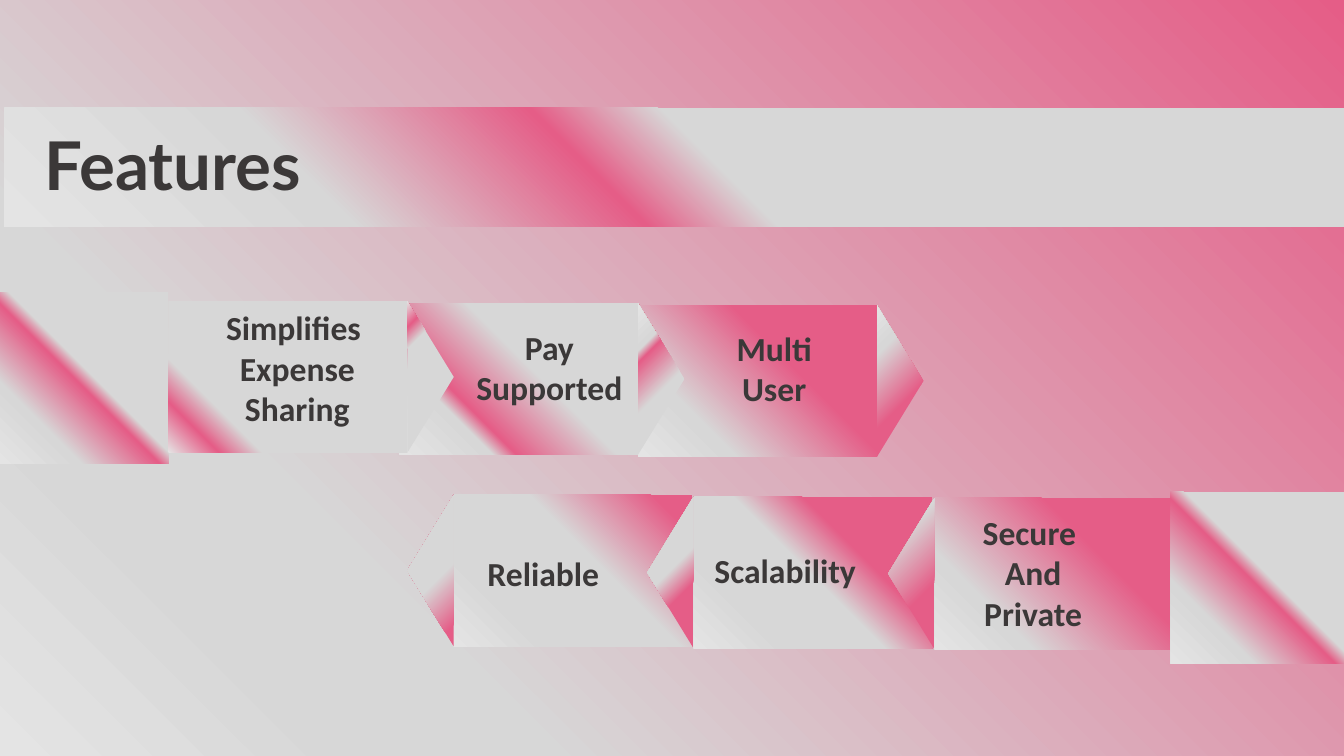
import pptx
import pptx.util
import pptx.dml.color
import pptx.enum.shapes
import pptx.enum.text
import pptx.oxml.ns
import lxml.etree
from dataclasses import dataclass

SHAPE = pptx.enum.shapes.MSO_SHAPE
ALIGN = pptx.enum.text.PP_ALIGN
ANCHOR = pptx.enum.text.MSO_ANCHOR
WIDE, HIGH = pptx.util.Inches(13.33), pptx.util.Inches(7.5)


@dataclass(frozen=True)
class Theme:
    pink: str = "E55D87"
    gray: str = "D7D7D7"
    pale: str = "E4E4E4"
    ink: str = "3B3838"
    head: tuple = ("Lato", 48)
    body: tuple = ("Calibri", 24)
    slant: int = 135  # clockwise degrees, top right to bottom left
    turn: int = 225   # slant on the arrow tips


LOOK = Theme()

# Sizes in percent of the slide
TAG_W, TAG_H, TIP = 17.78, 20, 3.45
TEXT_W, LINE_H, PAD_H = 23.25, 5.37, 1.33


def across(share):
    return round(WIDE * share / 100)


def down(share):
    return round(HIGH * share / 100)


def frame(x, y, w, h):
    return across(x), down(y), across(w), down(h)


def ramp(*stops):
    """Stops of a gradient, always ending in the pale gray."""
    return (*stops, (100, LOOK.pale))


def early(pink, gray):
    """Pink first, then gray."""
    return ramp((pink, LOOK.pink), (gray, LOOK.gray), (76, LOOK.gray))


def streak(gray, pink):
    """A pink streak between two grays."""
    return ramp((gray, LOOK.gray), (pink, LOOK.pink), (76, LOOK.gray))


def shade(owner, fill, stops, angle):
    fill.gradient()
    fill.gradient_angle = (360 - angle) % 360
    qn = pptx.oxml.ns.qn
    group = owner.element.find(".//" + qn("a:gsLst"))
    for old in list(group):
        group.remove(old)
    for place, color in stops:
        stop = lxml.etree.SubElement(group, qn("a:gs"), pos=str(place * 1000))
        lxml.etree.SubElement(stop, qn("a:srgbClr"), val=color)


def block(slide, kind, box, stops, angle=LOOK.slant, spin=0):
    shape = slide.shapes.add_shape(kind, *box)
    shape.rotation = spin
    shape.shadow.inherit = False
    shape.line.fill.background()
    shade(shape, shape.fill, stops, angle)


def tag(slide, x, y, stops, spin):
    """A box with a tip on its right (spin 90) or left (spin 270)."""
    block(slide, SHAPE.RECTANGLE, frame(x, y, TAG_W, TAG_H), stops)
    side = x + TAG_W + TIP / 2 if spin == 90 else x - TIP / 2
    base, depth = down(TAG_H), across(TIP)
    box = (across(side) - base // 2, down(y + TAG_H / 2) - depth // 2, base, depth)
    block(slide, SHAPE.ISOSCELES_TRIANGLE, box, stops, (LOOK.turn - spin) % 360, spin)


def label(slide, text, box, face, align, anchor=ANCHOR.TOP, space=1.0):
    area = slide.shapes.add_textbox(*box).text_frame
    area.word_wrap = True
    area.vertical_anchor = anchor
    area.text = text
    for para in area.paragraphs:
        para.alignment = align
        para.line_spacing = space
        for run in para.runs:
            run.font.name = face[0]
            run.font.size = pptx.util.Pt(face[1])
            run.font.bold = True
            run.font.color.rgb = pptx.dml.color.RGBColor.from_string(LOOK.ink)
    return area


def title(slide, text):
    block(slide, SHAPE.RECTANGLE, frame(0.3, 14.27, 100, 15.73), streak(47, 56))
    area = label(slide, text, frame(2.55, 16.13, 93.25, 12.27), LOOK.head,
                 ALIGN.LEFT, ANCHOR.BOTTOM, 0.9)
    area.margin_top = area.margin_bottom = pptx.util.Inches(0.1)


def main():
    deck = pptx.Presentation()
    deck.slide_width, deck.slide_height = WIDE, HIGH
    slide = deck.slides.add_slide(deck.slide_layouts[6])
    back = ramp((0, LOOK.pink), (74, LOOK.gray), (83, LOOK.gray))
    shade(slide, slide.background.fill, back, LOOK.slant)

    title(slide, "Features")

    # Text, text place, tag place, gradient, tip direction; back to front
    late = ramp((47, LOOK.gray), (76, LOOK.gray), (87, LOOK.pink))
    items = [
        ("Reliable", 28.8, 72.53, 33.75, 65.47, early(10, 42), 270),
        ("Scalability", 46.8, 72.13, 51.6, 65.73, early(33, 51), 270),
        ("Secure \nAnd\nPrivate", 65.25, 67.07, 69.53, 65.87, early(33, 75), 270),
        ("Multi\nUser", 45.98, 42.67, 47.48, 40.4, early(37, 75), 90),
        ("Pay\nSupported", 29.25, 42.53, 29.7, 40.13, streak(44, 70), 90),
        ("Simplifies \nExpense\nSharing", 10.5, 40, 12.53, 39.87, late, 90),
    ]
    for *_, x, y, stops, spin in items:
        tag(slide, x, y, stops, spin)
    for text, x, y, *_ in items:
        tall = PAD_H + LINE_H * len(text.split("\n"))
        label(slide, text, frame(x, y, TEXT_W, tall), LOOK.body, ALIGN.CENTER)

    # End blocks of the two rows
    for x, y, w in ((0, 38.67, 12.53), (87.08, 65.07, 13.28)):
        block(slide, SHAPE.RECTANGLE, frame(x, y, w, 22.67), streak(47, 53))

    deck.save("out.pptx")


if __name__ == "__main__":
    main()
